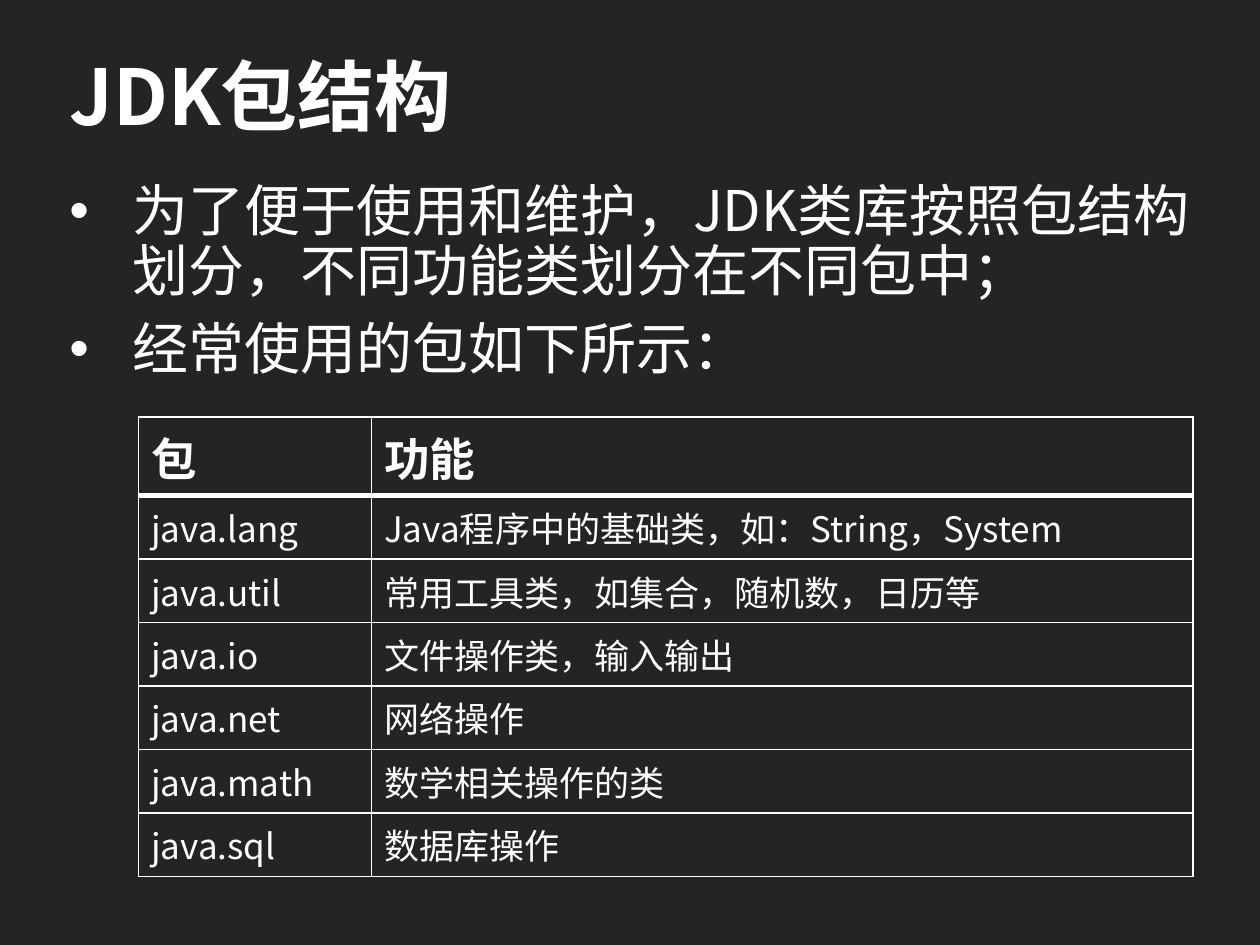
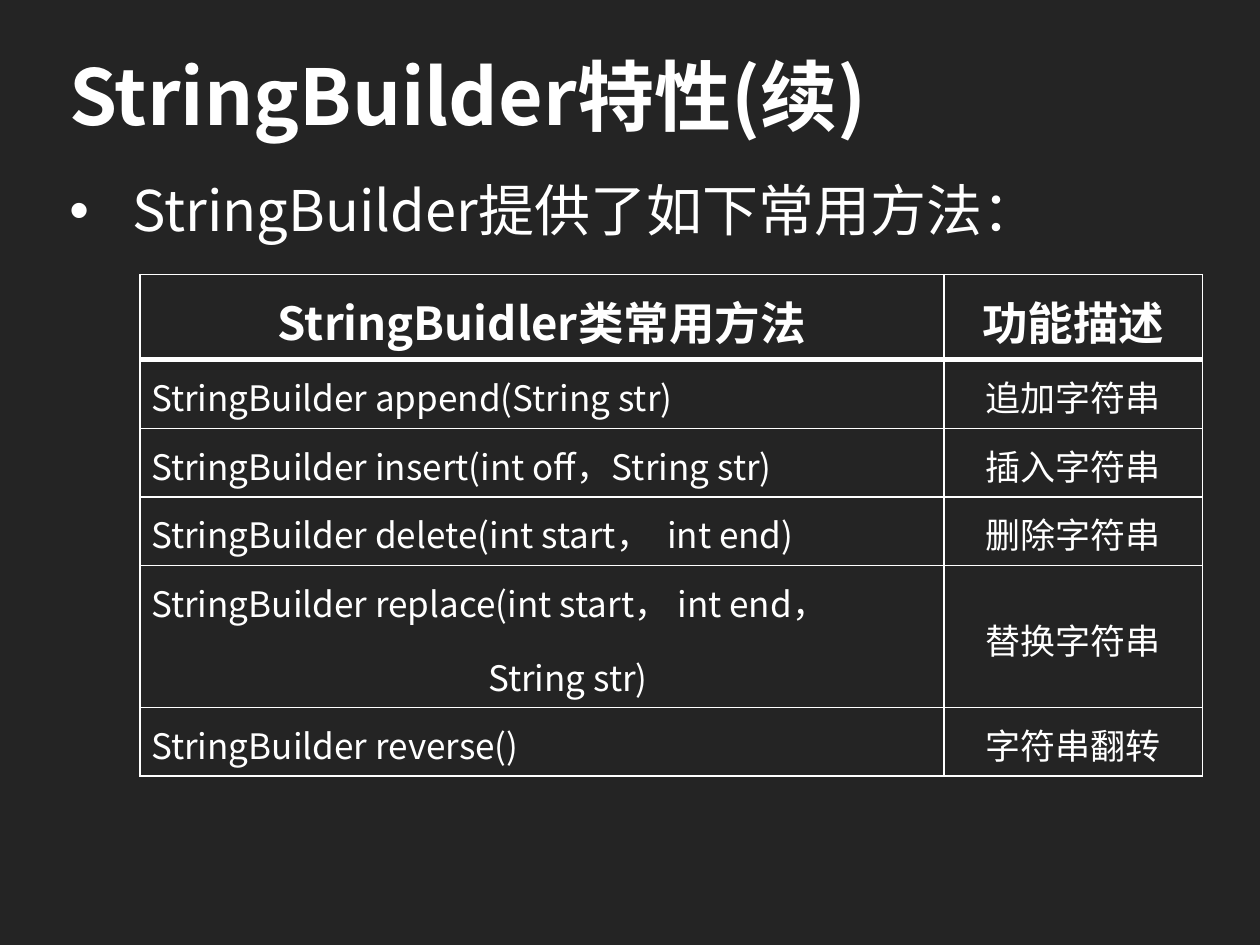
from lxml.etree import SubElement
from pptx import Presentation
from pptx.dml.color import RGBColor
from pptx.enum.text import MSO_ANCHOR, MSO_AUTO_SIZE, PP_ALIGN
from pptx.oxml import parse_xml
from pptx.oxml.ns import nsdecls, qn
from pptx.util import Pt

# Shared look
BACKGROUND = RGBColor(0x24, 0x24, 0x24)
WHITE = RGBColor(0xFF, 0xFF, 0xFF)
FONT = "Noto Sans CJK SC"
TITLE_BOX = (32.4, 16.56, 654.48, 74.88)
BODY_BOX = (32.4, 100.8, 655.92, 399.6)
TITLE_FONT = {"size": Pt(44), "bold": True}
BODY_FONT = {"size": Pt(32), "bold": False}
HEAD_FONT = {"size": Pt(26), "bold": True}
CELL_FONT = {"size": Pt(20), "bold": False}
HANGING = 36
THIN, THICK = 1, 3

# Content
PACKAGES = [
    ("包", "功能"),
    ("java.lang", "Java程序中的基础类，如：String，System"),
    ("java.util", "常用工具类，如集合，随机数，日历等"),
    ("java.io", "文件操作类，输入输出"),
    ("java.net", "网络操作"),
    ("java.math", "数学相关操作的类"),
    ("java.sql", "数据库操作"),
]
METHODS = [
    ("StringBuidler类常用方法", "功能描述"),
    ("StringBuilder append(String str)", "追加字符串"),
    ("StringBuilder insert(int off，String str)", "插入字符串"),
    ("StringBuilder delete(int start，  int end)", "删除字符串"),
    ("StringBuilder replace(int start， int end，\nString str)", "替换字符串"),
    ("StringBuilder reverse()", "字符串翻转"),
]


def set_attrs(obj, values):
    for name, value in values.items():
        setattr(obj, name, value)


def place(sp, box):
    names = ("left", "top", "width", "height")
    set_attrs(sp, dict(zip(names, map(Pt, box))))


def add_run(p, text, font):
    r = p.add_run()
    r.text = text
    set_attrs(r.font, {"name": FONT, **font})
    r.font.color.rgb = WHITE
    SubElement(r.font._element, qn("a:ea"), typeface=FONT)


def fill_text(tf, lines, font, gap=0, **layout):
    """Write one paragraph per line, with a gap between them."""
    for i, line in enumerate(lines):
        p = tf.paragraphs[0] if i == 0 else tf.add_paragraph()
        set_attrs(p, {"space_before": Pt(gap if i else 0), **layout})
        add_run(p, line, font)


def add_title(s, box, text):
    sp = s.shapes.title
    place(sp, box)
    set_attrs(sp.text_frame, {"vertical_anchor": MSO_ANCHOR.MIDDLE,
                              "auto_size": MSO_AUTO_SIZE.NONE})
    fill_text(sp.text_frame, [text], TITLE_FONT, alignment=PP_ALIGN.LEFT)


def add_bullets(s, box, lines):
    sp = s.placeholders[1]
    place(sp, box)
    tf = sp.text_frame
    tf.auto_size = MSO_AUTO_SIZE.NONE
    fill_text(tf, lines, BODY_FONT, gap=10, line_spacing=0.9)
    for p in tf.paragraphs:
        pPr = p._p.get_or_add_pPr()
        pPr.set("marL", str(Pt(HANGING)))
        pPr.set("indent", str(-Pt(HANGING)))
        SubElement(pPr, qn("a:buChar"), char="•")


def set_borders(cell, row):
    """Thin lines all round, with a thick rule under the header row."""
    widths = {"L": THIN, "R": THIN,
              "T": THICK if row == 1 else THIN,
              "B": THICK if row == 0 else THIN}
    tcPr = cell._tc.get_or_add_tcPr()
    for i, (side, width) in enumerate(widths.items()):
        tcPr.insert(i, parse_xml(
            f'<a:ln{side} {nsdecls("a")} w="{Pt(width)}"><a:solidFill>'
            f'<a:srgbClr val="{WHITE}"/></a:solidFill></a:ln{side}>'))


def add_grid(s, box, data, col_widths, row_heights, cell_format, text_format):
    """Place a ruled table; text_format(row, col) gives paragraph settings."""
    frame = s.shapes.add_table(len(data), len(col_widths), *map(Pt, box))
    table = frame.table
    set_attrs(table, {"first_row": False, "horz_banding": False})
    for col, width in zip(table.columns, col_widths):
        col.width = Pt(width)
    for row, height in zip(table.rows, row_heights):
        row.height = Pt(height)
    for i, texts in enumerate(data):
        for j, text in enumerate(texts):
            cell = table.cell(i, j)
            set_attrs(cell, cell_format)
            cell.fill.background()
            set_borders(cell, i)
            fill_text(cell.text_frame, text.split("\n"),
                      CELL_FONT if i else HEAD_FONT, **text_format(i, j))
    return table


def start_slide(prs, title, bullets):
    s = prs.slides.add_slide(prs.slide_layouts[1])
    add_title(s, TITLE_BOX, title)
    add_bullets(s, BODY_BOX, bullets)
    return s


def build_packages(prs):
    s = start_slide(prs, "JDK包结构", [
        "为了便于使用和维护，JDK类库按照包结构划分，不同功能类划分在不同包中；",
        "经常使用的包如下所示："])
    add_grid(s, (79.2, 238.32, 602.64, 222.48), PACKAGES, (133.2, 469.44),
             [30.24] * len(PACKAGES), {}, lambda row, col: {})


def build_methods(prs):
    s = start_slide(prs, "StringBuilder特性(续)",
                    ["StringBuilder提供了如下常用方法："])
    inset = {"margin_left": Pt(6.5), "margin_right": Pt(6.5),
             "margin_top": Pt(3.6), "margin_bottom": Pt(3.6),
             "vertical_anchor": MSO_ANCHOR.MIDDLE}

    def method_text(row, col):
        centred = row == 0 or col == 1
        return {"gap": 10.2, "line_spacing": 1.1,
                "alignment": PP_ALIGN.CENTER if centred else PP_ALIGN.LEFT}

    table = add_grid(s, (79.92, 156.96, 607.68, 274.32), METHODS,
                     (459.6, 147.8), (23.04, 38.88, 36.72, 38.16, 80.64, 38.88),
                     inset, method_text)
    # Indent the continued argument list of replace()
    continued = table.cell(4, 0).text_frame.paragraphs[1]
    continued._p.get_or_add_pPr().set("marL", str(Pt(192.5)))


def main():
    prs = Presentation()
    set_attrs(prs, {"slide_width": Pt(720), "slide_height": Pt(540)})
    fill = prs.slide_master.background.fill
    fill.solid()
    fill.fore_color.rgb = BACKGROUND
    build_packages(prs)
    build_methods(prs)
    prs.save("out.pptx")


if __name__ == "__main__":
    main()
